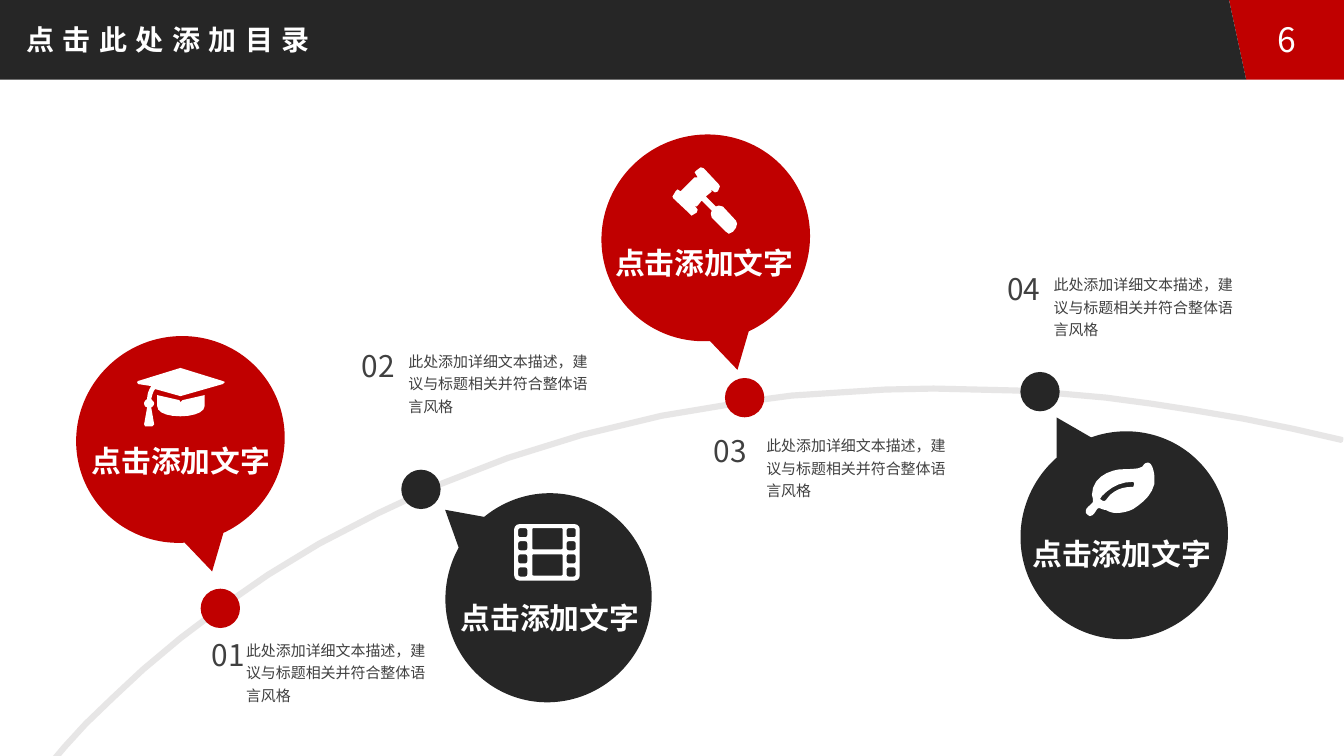
import math
from dataclasses import dataclass
from typing import Any

import lxml.etree
import pptx
import pptx.dml.color
import pptx.enum.shapes
import pptx.enum.text
import pptx.oxml.ns
import pptx.util

Point = tuple[float, float]
Contour = list[Point]

PX = 9144
FONT = "Noto Sans CJK SC"
RED = pptx.dml.color.RGBColor(0xC0, 0x00, 0x00)
BLACK = pptx.dml.color.RGBColor(0x26, 0x26, 0x26)
GRAY = pptx.dml.color.RGBColor(0x40, 0x40, 0x40)
TRACK = pptx.dml.color.RGBColor(0xE7, 0xE6, 0xE6)
WHITE = pptx.dml.color.RGBColor(0xFF, 0xFF, 0xFF)
SHAPES = pptx.enum.shapes.MSO_SHAPE
ALIGN = pptx.enum.text.PP_ALIGN
ANCHOR = pptx.enum.text.MSO_ANCHOR
NO_INSETS = {"margin_left": 0, "margin_top": 0, "margin_right": 0, "margin_bottom": 0}

LABEL = "点击添加文字"
NOTE = "此处添加详细文本描述，建议与标题相关并符合整体语言风格"

TRACK_TOP = [
    (26, 785), (35, 774), (47, 759), (63, 740), (84, 717), (111, 691), (141, 663),
    (178, 632), (219, 601), (265, 569), (316, 538), (374, 508), (436, 479), (503, 453),
    (577, 430), (656, 411), (740, 397), (785, 391), (831, 388), (878, 385), (926, 384),
    (968, 385), (1009, 386), (1052, 389), (1097, 393), (1142, 399), (1187, 406),
    (1234, 414), (1283, 424), (1331, 435),
]


def flatten(*nodes: tuple[int, ...]) -> Contour:
    points: Contour = [nodes[0]]
    for node in nodes[1:]:
        if len(node) == 2:
            points.append(node)
            continue
        (x0, y0), (x1, y1, x2, y2, x3, y3) = points[-1], node
        for t in (0.2, 0.4, 0.6, 0.8, 1):
            a, b, c, d = (1 - t) ** 3, 3 * t * (1 - t) ** 2, 3 * t * t * (1 - t), t**3
            points.append((a * x0 + b * x1 + c * x2 + d * x3, a * y0 + b * y1 + c * y2 + d * y3))
    return points


def rounded(left: int, top: int, width: int, height: int, radius: int) -> Contour:
    corners = [(left + width, top + height), (left, top + height), (left, top), (left + width, top)]
    points = []
    for quarter, (x, y) in enumerate(corners):
        cx = x + radius if x == left else x - radius
        cy = y + radius if y == top else y - radius
        for step in range(4):
            angle = math.radians(90 * quarter + 30 * step)
            points.append((cx + radius * math.cos(angle), cy + radius * math.sin(angle)))
    return points


def band(edge: Contour, thickness: int) -> Contour:
    inner = []
    for i, (x, y) in enumerate(edge):
        (xa, ya), (xb, yb) = edge[max(i - 1, 0)], edge[min(i + 1, len(edge) - 1)]
        length = math.hypot(xb - xa, yb - ya)
        inner.append((x - thickness * (yb - ya) / length, y + thickness * (xb - xa) / length))
    return edge + inner[::-1]


GRADUATION_CAP = [
    flatten((221, 381), (179, 393), (154, 386), (152, 388, 151, 392, 150, 396),
            (151, 397, 153, 399, 153, 400), (153, 402, 151, 404, 150, 404), (153, 421),
            (151, 423), (144, 423), (143, 421), (146, 404), (144, 404, 143, 402, 143, 400),
            (143, 399, 144, 397, 146, 396), (146, 392, 147, 388, 150, 383), (137, 381),
            (136, 379), (137, 378), (179, 365), (221, 378), (223, 379)),
    flatten((203, 403), (203, 409, 192, 413, 179, 413), (165, 413, 156, 409, 156, 403),
            (156, 392), (178, 397), (179, 399), (181, 397), (203, 392)),
]
FILM = [
    rounded(510, 520, 65, 56, 5),
    *(rounded(x, 524 + 13 * row, 9, 9, 2)[::-1] for x in (514, 562) for row in range(4)),
    *(rounded(528, y, 30, 21, 1)[::-1] for y in (524, 550)),
]
GAVEL = [
    flatten((730, 226), (727, 230), (723, 232), (720, 230), (706, 216), (705, 212), (706, 209),
            (696, 199), (692, 204), (691, 205), (689, 204), (692, 208), (691, 211), (686, 214),
            (684, 212), (668, 197), (667, 195), (670, 190), (672, 188), (677, 191), (675, 190),
            (677, 188), (689, 176), (692, 176), (689, 171), (691, 169), (695, 166), (698, 167),
            (713, 183), (714, 185), (712, 190), (709, 191), (705, 188), (706, 190), (705, 191),
            (700, 195), (710, 205), (713, 204), (717, 205), (730, 219), (731, 222)),
]
LEAF = [
    flatten((1145, 480), (1142, 492, 1133, 499, 1124, 505), (1118, 508, 1112, 509, 1107, 509),
            (1104, 509, 1100, 508, 1097, 506), (1094, 506, 1091, 504, 1090, 504),
            (1087, 504, 1086, 512, 1081, 512), (1080, 512, 1079, 511, 1077, 509), (1077, 506),
            (1077, 504, 1084, 499, 1084, 498), (1084, 495), (1083, 491),
            (1083, 478, 1093, 470, 1104, 467), (1111, 464, 1128, 467, 1133, 463),
            (1135, 460, 1136, 459, 1139, 459), (1143, 459, 1145, 470, 1145, 473)),
    flatten((1124, 478), (1110, 478, 1101, 484, 1093, 492), (1091, 495), (1094, 497), (1096, 497),
            (1098, 495, 1100, 492, 1101, 491), (1108, 485, 1114, 483, 1124, 483), (1125, 480)),
]


@dataclass(frozen=True)
class Stop:
    number: str
    color: pptx.dml.color.RGBColor
    callout: tuple[int, int]
    rotation: float
    dot: tuple[int, int]
    number_at: tuple[int, int, int]
    note_left: int
    label: tuple[int, int]
    icon: list[Contour]


STOPS = [
    Stop("01", RED, (75, 334), 327.7, (199, 584), (210, 632, 60), 244, (89, 439), GRADUATION_CAP),
    Stop("02", BLACK, (440, 491), 111.6, (398, 466), (359, 345, 41), 405, (455, 595), FILM),
    Stop("03", RED, (596, 134), 327.7, (719, 375), (708, 429, 46), 760, (608, 243), GAVEL),
    Stop("04", BLACK, (1011, 429), 131.4, (1012, 369), (999, 269, 41), 1045, (1022, 531), LEAF),
]


def apply(target: Any, values: dict[str, Any]) -> None:
    for name, value in values.items():
        setattr(target, name, value)


def paint(shape: Any, color: pptx.dml.color.RGBColor) -> None:
    shape.shadow.inherit = False
    shape.fill.solid()
    shape.fill.fore_color.rgb = color
    shape.line.fill.background()


def draw_outline(shapes: Any, contours: list[Contour], color: pptx.dml.color.RGBColor) -> Any:
    scaled = [[(round(x * PX), round(y * PX)) for x, y in contour] for contour in contours]
    builder = shapes.build_freeform(*scaled[0][0])
    builder.add_line_segments(scaled[0][1:], close=True)
    for contour in scaled[1:]:
        builder.move_to(*contour[0])
        builder.add_line_segments(contour[1:], close=True)
    outline = builder.convert_to_shape()
    paint(outline, color)
    return outline


def draw_preset(shapes: Any, kind: Any, box: tuple[int, ...], color: pptx.dml.color.RGBColor) -> Any:
    preset = shapes.add_shape(kind, *(value * PX for value in box))
    paint(preset, color)
    return preset


def write(frame: Any, text: str, size: float, color: pptx.dml.color.RGBColor, bold: bool = False,
          layout: dict[str, Any] = {}, paragraph: dict[str, Any] = {}) -> Any:
    apply(frame, {"word_wrap": True, **layout})
    line = frame.paragraphs[0]
    apply(line, paragraph)
    run = line.add_run()
    run.text = text
    apply(run.font, {"size": pptx.util.Pt(size), "bold": bold, "name": FONT})
    run.font.color.rgb = color
    properties = run.font._element
    lxml.etree.SubElement(properties, pptx.oxml.ns.qn("a:ea"), typeface=FONT)
    return properties


def add_text(shapes: Any, box: tuple[int, ...], *args: Any, **formats: Any) -> None:
    write(shapes.add_textbox(*(value * PX for value in box)).text_frame, *args, **formats)


def draw_stop(shapes: Any, stop: Stop) -> None:
    callout = draw_preset(shapes, SHAPES.OVAL_CALLOUT, (*stop.callout, 208, 204), stop.color)
    callout.rotation = stop.rotation
    draw_preset(shapes, SHAPES.OVAL, (*stop.dot, 39, 39), stop.color)
    left, top, width = stop.number_at
    add_text(shapes, (stop.note_left, top, 181, 89), NOTE, 10.7, GRAY,
             layout=NO_INSETS, paragraph={"line_spacing": 1.25})
    add_text(shapes, (left, top, width, 44), stop.number, 21.3, GRAY, layout=NO_INSETS)
    add_text(shapes, (*stop.label, 181, 49), LABEL, 21.3, WHITE, True,
             layout=NO_INSETS, paragraph={"alignment": ALIGN.CENTER})
    draw_outline(shapes, stop.icon, WHITE)


def main() -> None:
    deck = pptx.Presentation()
    apply(deck, {"slide_width": 1333 * PX, "slide_height": 750 * PX})
    slide = deck.slides.add_slide(deck.slide_layouts[5])
    shapes = slide.shapes
    draw_outline(shapes, [[(1219, 0), (1333, 0), (1333, 79), (1236, 79)]], RED)
    draw_outline(shapes, [[(0, 0), (1219, 0), (1236, 79), (0, 79)]], BLACK)
    track = draw_outline(shapes, [band(TRACK_TOP, 3)], TRACK)
    track.line.color.rgb = TRACK
    track.line.width = pptx.util.Pt(2.25)
    for stop in STOPS:
        draw_stop(shapes, stop)
    add_text(shapes, (1241, 19, 70, 40), "6", 24, WHITE,
             layout={"vertical_anchor": ANCHOR.MIDDLE}, paragraph={"alignment": ALIGN.CENTER})
    title = shapes.title
    apply(title, {"left": 16 * PX, "top": 17 * PX, "width": 312 * PX, "height": 44 * PX})
    heading = write(title.text_frame, "点击此处添加目录", 20, WHITE, True,
                    layout={"word_wrap": False, "vertical_anchor": ANCHOR.MIDDLE,
                            "auto_size": pptx.enum.text.MSO_AUTO_SIZE.SHAPE_TO_FIT_TEXT},
                    paragraph={"alignment": ALIGN.LEFT})
    heading.set("spc", "600")
    shapes.element.append(title.element)
    deck.save("out.pptx")


if __name__ == "__main__":
    main()
